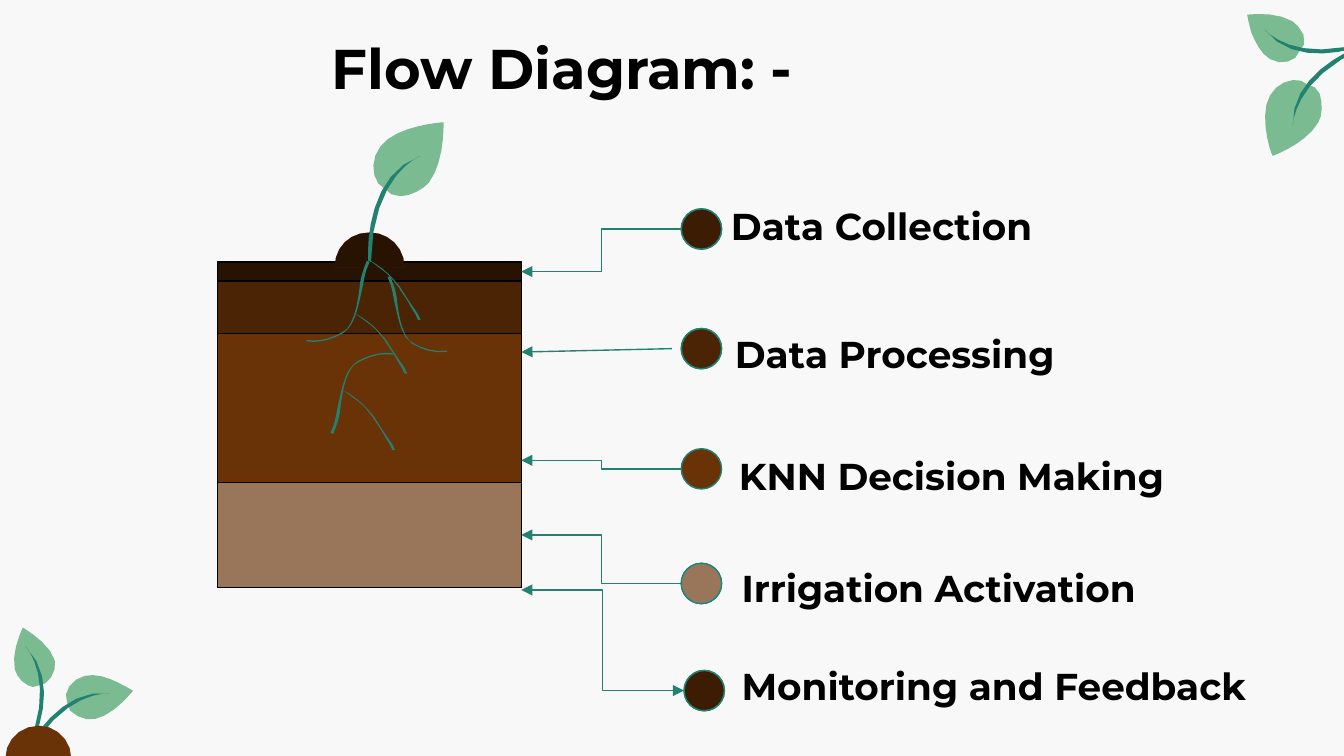
import math
from dataclasses import dataclass
from typing import Optional

import pptx
import pptx.dml.color
import pptx.enum.shapes
import pptx.enum.text
import pptx.oxml
import pptx.oxml.ns
import pptx.util

Pt = pptx.util.Pt
SHAPE = pptx.enum.shapes.MSO_SHAPE
CONNECTOR = pptx.enum.shapes.MSO_CONNECTOR
ANCHOR = pptx.enum.text.MSO_ANCHOR

PAPER, INK, SOIL, LEAF, STEM = "F8F8F8", "000000", "693307", "7BBB91", "22816F"
GRID = 0.72  # points per unit of the outlines
DOT_SIZE = 21.6
BAND_LEFT, BAND_WIDTH = 116.6, 162.7
BAND_RIGHT = BAND_LEFT + BAND_WIDTH


@dataclass
class Tint:
    colour: str
    opacity: int


@dataclass
class Band:
    top: float
    height: float
    base: Optional[str]
    tint: Optional[Tint]


@dataclass
class Step:
    label: str
    text_left: float
    text_top: float
    text_width: float
    dot_left: float
    dot_top: float
    tint: Optional[Tint]
    arrow_y: float
    band: Optional[int] = None  # band whose right side the arrow joins
    straight: bool = False
    two_way: bool = False


@dataclass
class Outline:
    """A start point, then three points for each cubic curve."""
    colour: str
    points: str
    opacity: int = 100
    scale: tuple[float, float] = (1, 1)
    shift: tuple[float, float] = (0, 0)


TOPSOIL, LOAM, PALE, DARK = Tint(INK, 61), Tint(INK, 28), Tint(PAPER, 34), Tint(INK, 42)

BANDS = [
    Band(140.4, 10.1, SOIL, TOPSOIL),
    Band(150.5, 28.1, SOIL, LOAM),
    Band(178.6, 136.1, SOIL, None),
    Band(258.5, 56.2, None, PALE),
]

STEPS = [
    Step("Data Collection", 384.5, 99.4, 262, 365, 111.9, DARK, 145.4, band=0),
    Step("Data Processing", 386.6, 167.8, 232, 365, 176, LOAM, 188.6, straight=True),
    Step("KNN Decision Making", 388.8, 233.3, 252, 365, 240.4, None, 246.7, band=2),
    Step("Irrigation Activation", 390.2, 293, 329.8, 365, 301.8, PALE, 286.6, band=3),
    Step("Monitoring and Feedback", 390.2, 345.6, 310, 366.5, 359.2, DARK, 316.1,
         two_way=True),
]

CORNER_PLANTS = [
    # bottom left
    Outline(LEAF, "17,467 17,467 8,485 11,498 12,502 16,508 21,510 23,511 26,512 29,510 "
                  "36,510 42,500 41,492 38,479 17,467 17,467"),
    Outline(LEAF, "88,508 80,504 71,501 63,503 54,505 46,515 50,523 50,527 53,531 58,533 "
                  "62,535 67,536 71,535 85,532 99,514 99,514 99,514 94,511 88,508"),
    Outline(STEM, "82,516 45,511 22,553 17,564 17,566 18,567 18,567 46,512 82,516 82,516"),
    Outline(STEM, "19,481 19,481 44,507 18,563 19,563 20,563 20,562 26,551 46,508 19,481"),
    Outline(SOIL, "4,564 4,551 15,540 29,540 42,540 53,551 53,564"),
    # top right
    Outline(LEAF, "947,116 947,116 972,107 981,91 984,86 984,77 982,70 980,66 977,63 973,63 "
                  "966,56 951,60 945,71 936,86 946,116 947,116"),
    Outline(STEM, "962,94 962,94 961,59 1016,35 1016,34 1015,33 1013,34 1002,38 960,57 962,94"),
    Outline(LEAF, "931,24 934,31 938,40 945,44 953,49 965,46 967,38 971,36 971,31 970,26 "
                  "968,22 965,18 962,16 949,8 928,11 928,11 928,11 929,17 931,24"),
    Outline(STEM, "941,22 963,51 1008,37 1019,32 1020,32 1020,31 1020,30 963,49 941,22 941,22"),
]

MOUND = "249,199 249,184 260,173 275,173 289,173 301,184 301,199"
LONG_ROOT = ("249,251 257,248 261,244 264,236 267,228 268,221 270,213 271,207 272,201 275,195 "
             "275,194 274,194 273,194 271,199 269,204 268,210 267,220 265,237 258,245 "
             "255,247 252,249 249,250 242,253 235,254 228,253 228,254 228,254 228,254 "
             "235,255 242,254 249,251")
SHORT_ROOT = ("274,193 278,196 282,199 286,202 290,205 293,209 296,213 298,216 300,219 302,222 "
              "304,225 305,227 306,229 308,232 310,235 311,238 312,239 313,239 313,238 "
              "312,235 310,232 307,228 305,225 303,222 301,219 "
              "299,215 296,211 293,208 288,202 281,197 274,193")

SEEDLING = [
    Outline(SOIL, MOUND),
    Outline(INK, MOUND, opacity=TOPSOIL.opacity),
    Outline(LEAF, "330,91 330,91 331,121 319,136 315,141 305,146 298,146 293,146 289,144 287,141 "
                  "276,136 275,119 283,109 295,93 330,91 330,91"),
    Outline(STEM, "313,116 313,116 277,129 276,195 275,195 274,195 274,194 273,180 275,129 313,116"),
    Outline(STEM, LONG_ROOT),
    Outline(STEM, LONG_ROOT, scale=(-0.94, 0.94), shift=(547, 23)),
    Outline(STEM, LONG_ROOT, scale=(-1, -1), shift=(521, 517)),
    *[Outline(STEM, SHORT_ROOT, shift=shift) for shift in ((0, 0), (-10, 40), (-19, 97))],
]


def rgb(colour: str) -> pptx.dml.color.RGBColor:
    return pptx.dml.color.RGBColor.from_string(colour)


def add_xml(parent, tag: str, **attributes: str) -> None:
    child = pptx.oxml.parse_xml(f'<a:{tag} {pptx.oxml.ns.nsdecls("a")}/>')
    for name, value in attributes.items():
        child.set(name, value)
    parent.append(child)


def paint(shape, colour: str, opacity: int = 100, line: Optional[str] = None) -> None:
    shape.shadow.inherit = False
    shape.fill.solid()
    shape.fill.fore_color.rgb = rgb(colour)
    if opacity < 100:
        swatch = shape._element.spPr.find(".//" + pptx.oxml.ns.qn("a:srgbClr"))
        add_xml(swatch, "alpha", val=str(opacity * 1000))
    if line:
        shape.line.color.rgb = rgb(line)
        shape.line.width = Pt(0.75)
    else:
        shape.line.fill.background()


def add_layers(page, kind, box: tuple, base: Optional[str], tint: Optional[Tint], line: str):
    """Draw the soil colour, then its tint above it; return the top shape."""
    layers = [Tint(base, 100)] if base else []
    layers += [tint] if tint else []
    for layer in layers:
        shape = page.shapes.add_shape(kind, *map(Pt, box))
        paint(shape, layer.colour, layer.opacity, line)
    return shape


def add_outline(page, outline: Outline) -> None:
    knots = []
    for pair in outline.points.split():
        x, y = map(float, pair.split(","))
        knots.append((x * outline.scale[0] + outline.shift[0],
                      y * outline.scale[1] + outline.shift[1]))
    trace = [knots[0]]
    for first in range(0, len(knots) - 1, 3):
        curve = knots[first:first + 4]
        pieces = min(8, 1 + int(math.dist(curve[0], curve[3]) / 7))  # short curves need few
        for piece in range(1, pieces + 1):
            t = piece / pieces
            weights = ((1 - t) ** 3, 3 * t * (1 - t) ** 2, 3 * t * t * (1 - t), t ** 3)
            trace.append(tuple(sum(w * knot[axis] for w, knot in zip(weights, curve))
                               for axis in (0, 1)))
    trace = [(Pt(x * GRID), Pt(y * GRID)) for x, y in trace]
    builder = page.shapes.build_freeform(*trace[0])
    builder.add_line_segments(trace[1:], close=True)
    paint(builder.convert_to_shape(), outline.colour, outline.opacity)


def add_text(page, text: str, *, box: tuple, size: float, anchor) -> None:
    frame = page.shapes.add_textbox(*map(Pt, box)).text_frame
    frame.word_wrap = True
    frame.vertical_anchor = anchor
    frame.margin_left = frame.margin_right = frame.margin_top = frame.margin_bottom = Pt(7.2)
    span = frame.paragraphs[0].add_run()
    span.text = text
    span.font.name, span.font.size, span.font.bold = "Montserrat", Pt(size), True
    span.font.color.rgb = rgb(INK)


def add_arrow(page, step: Step, bands: list) -> None:
    start_x, start_y = step.dot_left, step.dot_top + DOT_SIZE / 2
    if step.straight:
        start_x -= 5
    kind = CONNECTOR.STRAIGHT if step.straight else CONNECTOR.ELBOW
    arrow = page.shapes.add_connector(kind, Pt(start_x), Pt(start_y),
                                      Pt(BAND_RIGHT), Pt(step.arrow_y))
    if step.band is not None:
        arrow.end_connect(bands[step.band], 3)
    arrow.line.color.rgb = rgb(STEM)
    arrow.line.width = Pt(0.75)
    line = arrow.line._get_or_add_ln()
    if step.two_way:
        add_xml(line, "headEnd", type="triangle")
    add_xml(line, "tailEnd", type="triangle")
    add_xml(arrow._element.spPr, "effectLst")


def main() -> None:
    deck = pptx.Presentation()
    deck.slide_width, deck.slide_height = Pt(720), Pt(405)
    page = deck.slides.add_slide(deck.slide_layouts[6])
    page.background.fill.solid()
    page.background.fill.fore_color.rgb = rgb(PAPER)

    # Corner plants and title
    for outline in CORNER_PLANTS:
        add_outline(page, outline)
    add_text(page, "Flow Diagram: -", box=(170.6, 10.8, 549.4, 45.4), size=30, anchor=ANCHOR.TOP)

    # Soil bands with the seedling
    bands = [add_layers(page, SHAPE.RECTANGLE, (BAND_LEFT, band.top, BAND_WIDTH, band.height),
                        band.base, band.tint, INK) for band in BANDS]
    for outline in SEEDLING:
        add_outline(page, outline)

    # Steps: label, dot and arrow
    for step in STEPS:
        add_text(page, step.label, box=(step.text_left, step.text_top, step.text_width, 43.2),
                 size=20, anchor=ANCHOR.MIDDLE)
        add_layers(page, SHAPE.OVAL, (step.dot_left, step.dot_top, DOT_SIZE, DOT_SIZE),
                   SOIL, step.tint, STEM)
        add_arrow(page, step, bands)

    deck.save("out.pptx")


if __name__ == "__main__":
    main()
